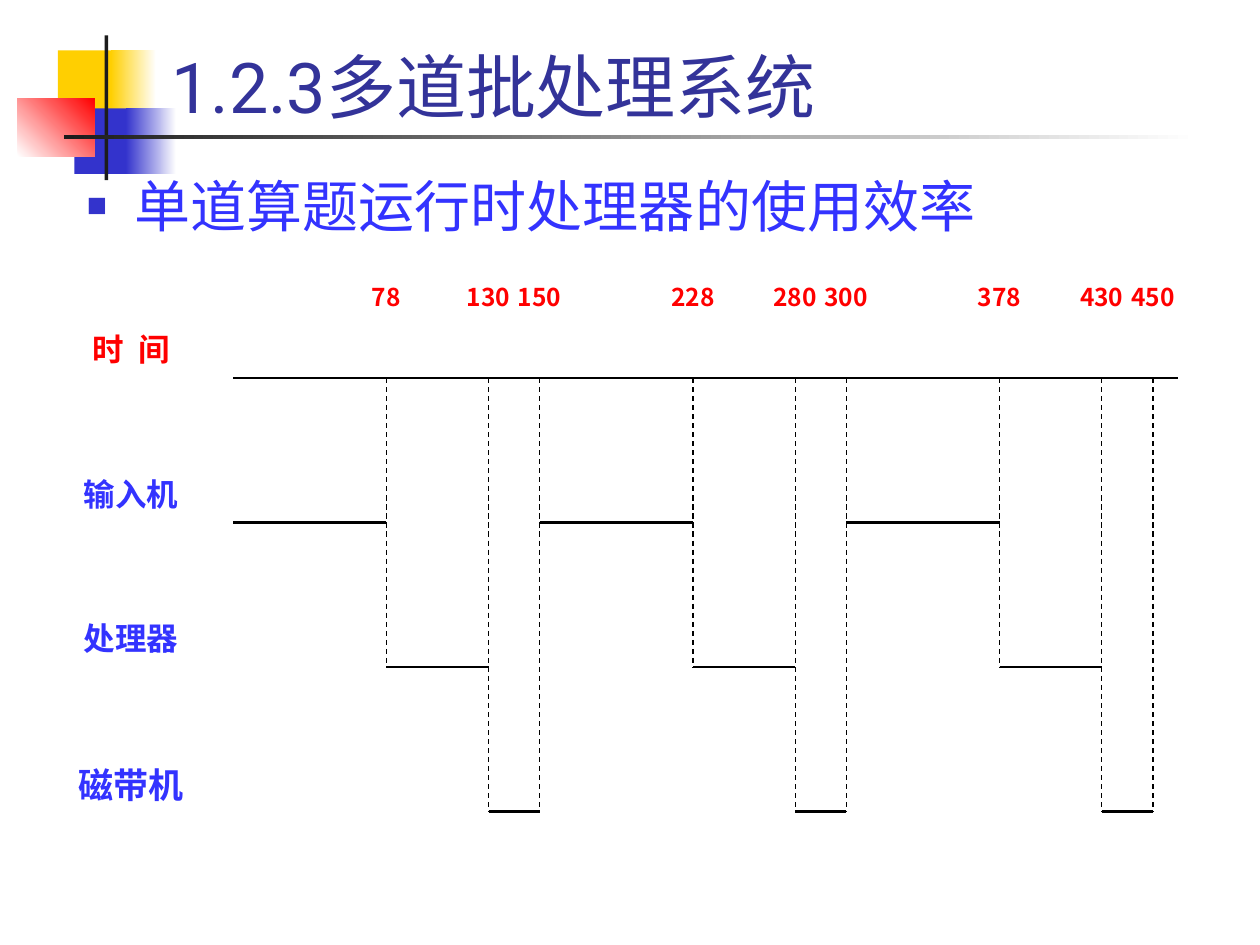
from lxml.etree import SubElement
from pptx import Presentation
from pptx.dml.color import RGBColor
from pptx.enum.dml import MSO_LINE
from pptx.enum.shapes import MSO_CONNECTOR, MSO_SHAPE
from pptx.enum.text import MSO_ANCHOR, PP_ALIGN
from pptx.oxml.ns import qn
from pptx.util import Inches, Pt

# Content
TITLE = "1.2.3多道批处理系统"
BULLET = "单道算题运行时处理器的使用效率"
ROWS = [("时 间", "time", 18), ("输入机", "device", 18),
        ("处理器", "device", 18), ("磁带机", "device", 20)]
CYCLES = [(78, 130, 150), (228, 280, 300), (378, 430, 450)]
# One cycle in steps of the axis: (start, end, row that is busy)
PHASES = [(0, 3, 1), (3, 5, 2), (5, 6, 3)]
DROP_ROWS = (2, 3, 3)  # row where the dashed line of each moment ends

THEME = {
    "latin": "Roboto", "asian": "Noto Sans CJK SC",
    "title": "333399", "body": "3333FF", "time": "FF0000", "device": "3333FF",
    "bullet": "3333CC", "line": "000000",
    "title_size": 40, "body_size": 32, "time_size": 14,
}

# Corner ornament: left, top, width, height, colours, gradient angle
ORNAMENT = [
    (0.46, 0.4, 0.48, 0.52, ["FFCF01"], 0),
    (0.88, 0.4, 0.36, 0.52, ["FFCF01", "FFFFFF"], 0),
    (0.59, 0.86, 0.46, 0.52, ["3333CC"], 0),
    (1, 0.86, 0.4, 0.52, ["3333CC", "FFFFFF"], 0),
    (0.14, 0.78, 0.61, 0.46, ["FFFFFF", "FF0000"], 45),
    (0.83, 0.28, 0.03, 1.15, ["1C1C1C"], 0),
    (0.51, 1.07, 9, 0.03, ["1C1C1C", "FFFFFF"], 0),
]

# Diagram grid
AXIS_LEFT, AXIS_RIGHT, LAST_MOMENT = 1.85, 9.35, 9.15
ROW_TOP, ROW_BOTTOM = 3, 6.44
CYCLE_STEPS = PHASES[-1][1]
STEP = (LAST_MOMENT - AXIS_LEFT) / (CYCLE_STEPS * len(CYCLES))
ROW_GAP = (ROW_BOTTOM - ROW_TOP) / (len(ROWS) - 1)
LABEL_LEFT, LABEL_WIDTH, LABEL_HEIGHT = 0.43, 1.22, 0.76


def step_x(step):
    return AXIS_LEFT + step * STEP


def row_y(row):
    return ROW_TOP + row * ROW_GAP


def apply(target, values):
    for name, value in values.items():
        setattr(target, name, value)


def place(shape, left, top, width, height):
    apply(shape, {"left": Inches(left), "top": Inches(top),
                  "width": Inches(width), "height": Inches(height)})


def write(para, text, size, color, font, bold=False):
    span = para.add_run()
    span.text = text
    apply(span.font, {"size": Pt(size), "bold": bold, "name": font})
    span.font.color.rgb = RGBColor.from_string(color)
    SubElement(span.font._element, qn("a:ea"), typeface=THEME["asian"])
    return span


def add_label(page, text, left, top, width, size, color):
    box = page.shapes.add_textbox(Inches(left), Inches(top), Inches(width), Inches(LABEL_HEIGHT))
    apply(box.text_frame, {"margin_left": 0, "margin_right": 0, "margin_top": 0,
                           "margin_bottom": 0, "word_wrap": True})
    para = box.text_frame.paragraphs[0]
    para.alignment = PP_ALIGN.CENTER
    return write(para, text, size, color, THEME["asian"], bold=True)


def add_line(page, start, end, width=1.5, dash=None):
    line = page.shapes.add_connector(MSO_CONNECTOR.STRAIGHT, *map(Inches, start + end))
    line.line.color.rgb = RGBColor.from_string(THEME["line"])
    line.line.width = Pt(width)
    if dash:
        line.line.dash_style = dash
    SubElement(line._element.spPr, qn("a:effectLst"))


def add_ornament(page):
    for left, top, width, height, colors, angle in ORNAMENT:
        block = page.shapes.add_shape(MSO_SHAPE.RECTANGLE, Inches(left), Inches(top),
                                      Inches(width), Inches(height))
        block.shadow.inherit = False
        block.line.fill.background()
        if len(colors) == 1:
            block.fill.solid()
            block.fill.fore_color.rgb = RGBColor.from_string(colors[0])
            continue
        block.fill.gradient()
        block.fill.gradient_angle = angle
        for stop, color, position in zip(block.fill.gradient_stops, colors, (0, 1)):
            stop.color.rgb = RGBColor.from_string(color)
            stop.position = position


def fill_placeholders(page):
    title, body = page.shapes.title, page.placeholders[1]
    place(title, 1.14, 0.21, 8.77, 0.94)
    apply(title.text_frame, {"vertical_anchor": MSO_ANCHOR.MIDDLE, "margin_left": Inches(0.22)})
    heading = title.text_frame.paragraphs[0]
    heading.alignment = PP_ALIGN.LEFT
    write(heading, TITLE, THEME["title_size"], THEME["title"], THEME["latin"])

    place(body, 0.59, 1.31, 9.1, 5.33)
    para = body.text_frame.paragraphs[0]
    para.space_before = Pt(0)
    props = para._p.get_or_add_pPr()
    props.set("marL", str(Inches(0.38)))
    props.set("indent", str(-Inches(0.38)))
    SubElement(SubElement(props, qn("a:buClr")), qn("a:srgbClr"), val=THEME["bullet"])
    SubElement(props, qn("a:buSzPct"), val="60000")
    SubElement(props, qn("a:buChar"), char="■")
    write(para, BULLET, THEME["body_size"], THEME["body"], THEME["latin"])


def add_diagram(page):
    # Row names and the time axis
    for row, (name, role, size) in enumerate(ROWS):
        span = add_label(page, name, LABEL_LEFT, row_y(row) - LABEL_HEIGHT / 2,
                         LABEL_WIDTH, size, THEME[role])
        if role == "time":
            span.font._element.set("spc", "200")
    add_line(page, (AXIS_LEFT, ROW_TOP), (AXIS_RIGHT, ROW_TOP))

    # Busy spans, moments and dashed drops of every cycle
    for cycle, moments in enumerate(CYCLES):
        first = cycle * CYCLE_STEPS
        for (start, end, row), moment, drop_row in zip(PHASES, moments, DROP_ROWS):
            left, right = step_x(first + start), step_x(first + end)
            add_line(page, (left, row_y(row)), (right, row_y(row)))
            add_line(page, (right, ROW_TOP), (right, row_y(drop_row)), 0.75, MSO_LINE.DASH)
            add_label(page, str(moment), right - STEP / 2, ROW_TOP - LABEL_HEIGHT,
                      STEP, THEME["time_size"], THEME["time"])


def main():
    deck = Presentation()
    apply(deck, {"slide_width": Inches(10), "slide_height": Inches(7.5)})
    page = deck.slides.add_slide(deck.slide_layouts[1])
    add_ornament(page)
    fill_placeholders(page)
    add_diagram(page)
    deck.save("out.pptx")


if __name__ == "__main__":
    main()
